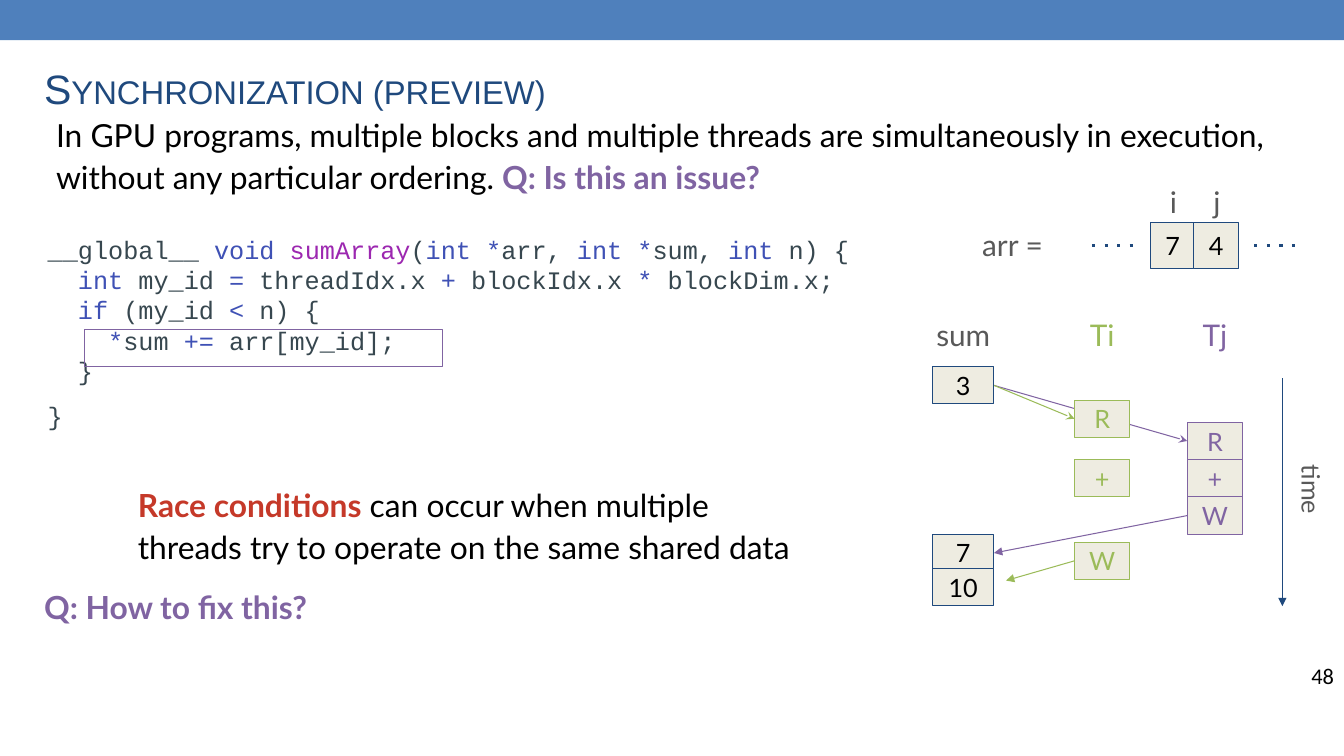
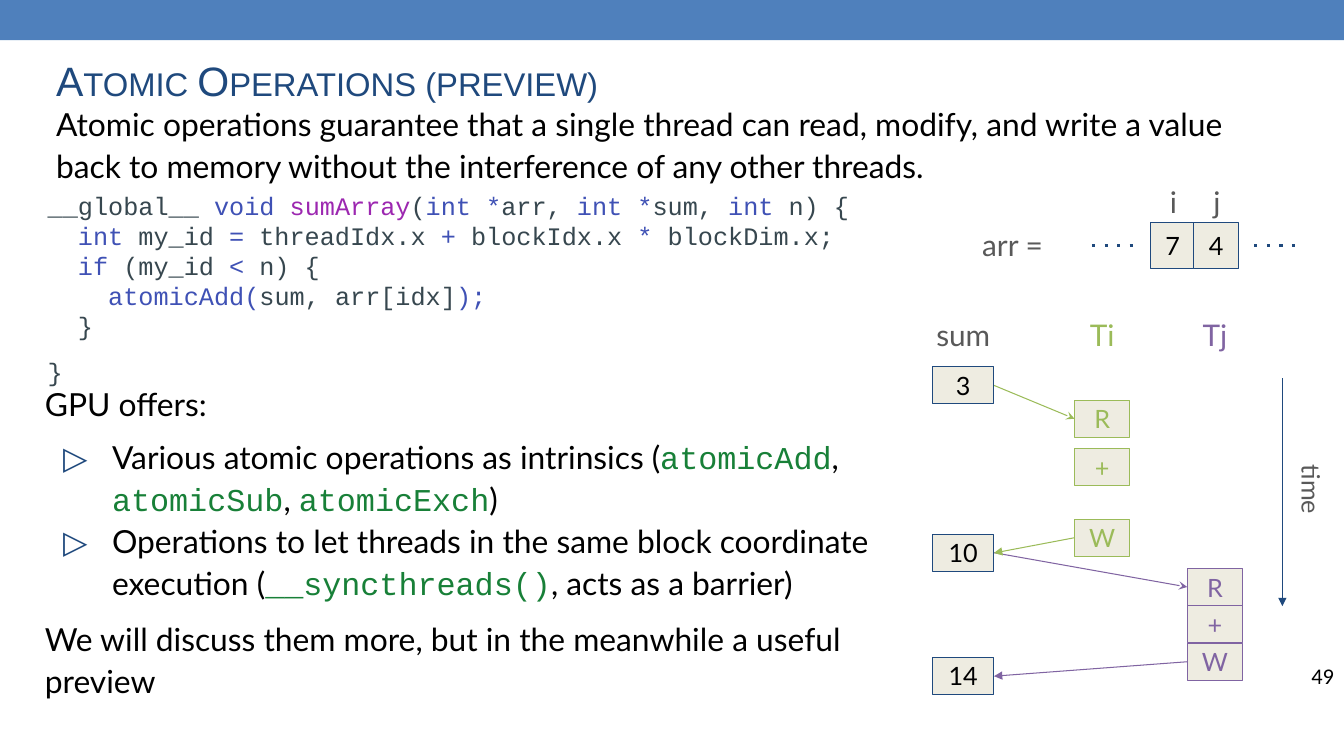
from lxml.etree import SubElement
from pptx import Presentation
from pptx.dml.color import RGBColor as RGB
from pptx.enum.shapes import MSO_CONNECTOR as LINK, MSO_SHAPE as SHAPE
from pptx.enum.text import MSO_ANCHOR as ANCHOR, PP_ALIGN as ALIGN
from pptx.oxml.ns import qn
from pptx.util import Pt

HUE = {
    "band": "4F80BC", "navy": "1F497D", "cream": "EEECE1", "black": "000000",
    "grey": "595959", "green": "9BBB59", "purple": "8064A2", "red": "C53929",
    "code": "37474F", "key": "3F51B5", "func": "9C27B0", "api": "188038",
}
WIDE, HIGH = 960, 540
SANS, MONO = "Lato", "Courier New"
STEP = 21.6  # two characters of 18 pt code
CELL = 26.6
TI, TJ = 101.5, 182  # thread columns, from the sum column
SUM_W, OP_W = 44, 39.6


def rgb(name):
    return RGB.from_string(HUE[name])


def style(run, size, hue="black", font=SANS, bold=False):
    face = run.font
    face.size, face.name, face.bold = Pt(size), font, bold
    face.color.rgb = rgb(hue)


def setup(shape, inset, anchor=ANCHOR.TOP):
    frame = shape.text_frame
    frame.word_wrap = True
    frame.vertical_anchor = anchor
    frame.margin_left = frame.margin_right = Pt(inset)
    frame.margin_top = frame.margin_bottom = Pt(inset)
    return frame


def textbox(slide, box, inset=7.2, anchor=ANCHOR.TOP):
    return setup(slide.shapes.add_textbox(*map(Pt, box)), inset, anchor)


def line_of(frame, first):
    return frame.paragraphs[0] if first else frame.add_paragraph()


def fill_in(frame, text, size, hue, align=ALIGN.CENTER, font=SANS):
    """Set one line of text in one style and return its run."""
    frame.text = text
    par = frame.paragraphs[0]
    par.alignment = align
    style(par.runs[0], size, hue, font)
    return par.runs[0]


def label(slide, box, text, size, hue, align=ALIGN.CENTER, inset=9.6,
          anchor=ANCHOR.TOP, font=SANS):
    frame = textbox(slide, box, inset, anchor)
    return fill_in(frame, text, size, hue, align, font)


def rect(slide, box, fill=None, edge=None):
    shape = slide.shapes.add_shape(SHAPE.RECTANGLE, *map(Pt, box))
    shape.shadow.inherit = False
    if fill:
        shape.fill.solid()
        shape.fill.fore_color.rgb = rgb(fill)
    else:
        shape.fill.background()
    if edge:
        shape.line.color.rgb = rgb(edge)
        shape.line.width = Pt(0.75)
    else:
        shape.line.fill.background()
    return shape


def cell(slide, box, text, hue="black", edge="navy"):
    frame = setup(rect(slide, box, "cream", edge), 0, ANCHOR.MIDDLE)
    fill_in(frame, text, 18, hue)


def line(slide, start, end, hue, width=0.75, head=None, dash=None):
    link = slide.shapes.add_connector(
        LINK.STRAIGHT, *map(Pt, (*start, *end)))
    link.line.color.rgb = rgb(hue)
    link.line.width = Pt(width)
    props = link.element.spPr
    stroke = props.find(qn("a:ln"))
    if dash:
        SubElement(stroke, qn("a:prstDash")).set("val", dash)
    if head:
        SubElement(stroke, qn("a:tailEnd")).set("type", head)
    SubElement(props, qn("a:effectLst"))


def base(deck, title, number, left, top):
    """Add a slide with the band, title and slide number."""
    slide = deck.slides.add_slide(deck.slide_layouts[6])
    rect(slide, (0, 0, WIDE, 28.8), "band")
    run = label(slide, (left, top, 839, 56), title, 29.3, "navy",
                ALIGN.LEFT, 7.2, ANCHOR.BOTTOM, "Arial")
    run._r.get_or_add_rPr().set("cap", "small")
    label(slide, (902.4, 466, 57.6, 33), str(number), 16, "black",
          ALIGN.RIGHT, 7.2, font="Calibri")
    return slide


def indent(par, left, first=0):
    props = par._p.get_or_add_pPr()
    props.set("marL", str(Pt(left)))
    props.set("indent", str(Pt(first)))
    return props


def prose(slide, box, *pars):
    """Write paragraphs of (space before, bulleted, runs)."""
    frame = textbox(slide, box)
    for at, (space, bullet, runs) in enumerate(pars):
        par = line_of(frame, at == 0)
        par.line_spacing, par.space_before = 1.1, Pt(space)
        if bullet:
            props = indent(par, 48, -35)
            tint = SubElement(props, qn("a:buClr"))
            SubElement(tint, qn("a:srgbClr")).set("val", HUE["navy"])
            SubElement(props, qn("a:buFont")).set("typeface", SANS)
            SubElement(props, qn("a:buChar")).set("char", "▷")
        for text, *look in runs:
            run = par.add_run()
            run.text = text
            style(run, 22.7, *look)


def code(slide, box, body):
    """Write the kernel; backticks enclose coloured words."""
    rows = [
        (0, "__global__ `void` `sumArray`(`int *`arr, `int *`sum, `int` n) {"),
        (1, "`int` my_id `=` threadIdx.x `+` blockIdx.x `*` blockDim.x;"),
        (1, "`if` (my_id `<` n) {"),
        (2, body),
        (1, "}"),
        (0, "}"),
    ]
    frame = textbox(slide, box, 9.6)
    for at, (level, row) in enumerate(rows):
        par = line_of(frame, at == 0)
        indent(par, level * STEP)
        for spot, text in enumerate(row.split("`")):
            if text:
                run = par.add_run()
                run.text = text
                hue = "key" if spot % 2 else "code"
                style(run, 18, "func" if text == "sumArray" else hue, MONO)
    par.line_spacing = 1.5


def array(slide, x, y):
    """Draw the array row with the top left of its label at x, y."""
    label(slide, (x, y, 76, 45), "arr =", 21.3, "grey", ALIGN.LEFT)
    for at, (name, value) in enumerate((("i", "7"), ("j", "4"))):
        left = x + 129.5 + at * 31
        cell(slide, (left, y + 6.5, 32.4, 33), value)
        label(slide, (left + 2, y - 21.6, 29.5, 26), name, 21.3, "grey",
              inset=0)
    for start in (88, 204):
        line(slide, (x + start, y + 23), (x + start + 29, y + 23),
             "navy", 2.25, dash="dot")


def thread(slide, x, y, col, hue, tops, source, tip):
    """Draw one thread's steps, its read from source and write to tip."""
    mid = CELL / 2
    line(slide, (x + SUM_W, y + source + mid), (x + col, y + tops[0] + mid),
         hue, head="stealth")
    for text, top in zip("R+W", tops):
        cell(slide, (x + col, y + top, OP_W, CELL), text, hue, hue)
    line(slide, (x + col, y + tops[2] + mid), (x + tip[0], y + tip[1]),
         hue, head="triangle")


def timeline(slide, x, y, sums, *threads):
    """Draw the timeline with the top left of its first sum at x, y."""
    heads = (("sum", SUM_W / 2, "grey"), ("Ti", TI + OP_W / 2, "green"),
             ("Tj", TJ + OP_W / 2, "purple"))
    for text, mid, hue in heads:
        label(slide, (x + mid - 38, y - 45.4, 76, 45), text, 21.3, hue)
    line(slide, (x + 250, y + 8), (x + 250, y + 171), "navy",
         head="triangle")
    name = slide.shapes.add_textbox(
        *map(Pt, (x + 237, y + 67, 67.6, 41)))
    name.rotation = 90
    fill_in(setup(name, 9.6), "time", 18, "grey")
    for args in threads:
        thread(slide, x, y, *args)
    for text, top in sums:
        cell(slide, (x, y + top, SUM_W, CELL), text)


def race(deck):
    slide = base(deck, "Synchronization (preview)", 48, 24.5, 31.7)
    prose(slide, (33, 72.7, 892, 85), (8, False, [
        ("In GPU programs, multiple blocks and multiple threads are "
         "simultaneously in execution, without any particular ordering. ",),
        ("Q: Is this an issue?", "purple", SANS, True)]))
    code(slide, (24.5, 157.7, 628, 161), "`*`sum `+=` arr[my_id];")
    rect(slide, (60.5, 235.4, 255.6, 26.6), edge="purple")
    array(slide, 692, 152.6)
    timeline(
        slide, 666, 262, (("3", 0), ("7", 119.5), ("10", 144)),
        (TJ, "purple", (39.7, 66.4, 93), 0, (SUM_W, 133)),
        (TI, "green", (23.8, 66.4, 125.3), 0, (52.6, 152.7)))
    prose(slide, (91.4, 337, 489, 85), (8, False, [
        ("Race conditions", "red", SANS, True),
        (" can occur when multiple threads try to operate on the same "
         "shared data",)]))
    prose(slide, (24.5, 409.7, 567, 45), (8, False, [
        ("Q: How to fix this?", "purple", SANS, True)]))


def atomic(deck):
    slide = base(deck, "Atomic Operations (preview)", 49, 33, 26)
    code(slide, (24.5, 126, 628, 161), "`atomicAdd(`sum, arr[idx]`);`")
    array(slide, 692, 152.6)
    timeline(
        slide, 666, 262, (("3", 0), ("10", 119.5), ("14", 207.4)),
        (TJ, "purple", (144, 170.7, 197.4), 119.5, (SUM_W, 221)),
        (TI, "green", (23.8, 58.4, 108.8), 0, (SUM_W, 133)))
    prose(slide, (33, 64.8, 892, 85), (8, False, [
        ("Atomic operations guarantee that a single thread can read, "
         "modify, and write a value back to memory without the "
         "interference of any other threads.",)]))
    api = ("api", MONO)
    prose(
        slide, (25, 265, 620, 85),
        (8, False, [("GPU offers:",)]),
        (8, True, [
            ("Various atomic operations as intrinsics (",),
            ("atomicAdd", *api), (", ",), ("atomicSub", *api), (", ",),
            ("atomicExch", *api), (")",)]),
        (0, True, [
            ("Operations to let threads in the same block coordinate "
             "execution (",),
            ("__syncthreads()", *api), (", acts as a barrier)",)]))
    prose(slide, (25, 432.7, 620, 85), (8, False, [
        ("We will discuss them more, but in the meanwhile a useful "
         "preview",)]))


def main():
    deck = Presentation()
    deck.slide_width, deck.slide_height = Pt(WIDE), Pt(HIGH)
    race(deck)
    atomic(deck)
    deck.save("out.pptx")


if __name__ == "__main__":
    main()
